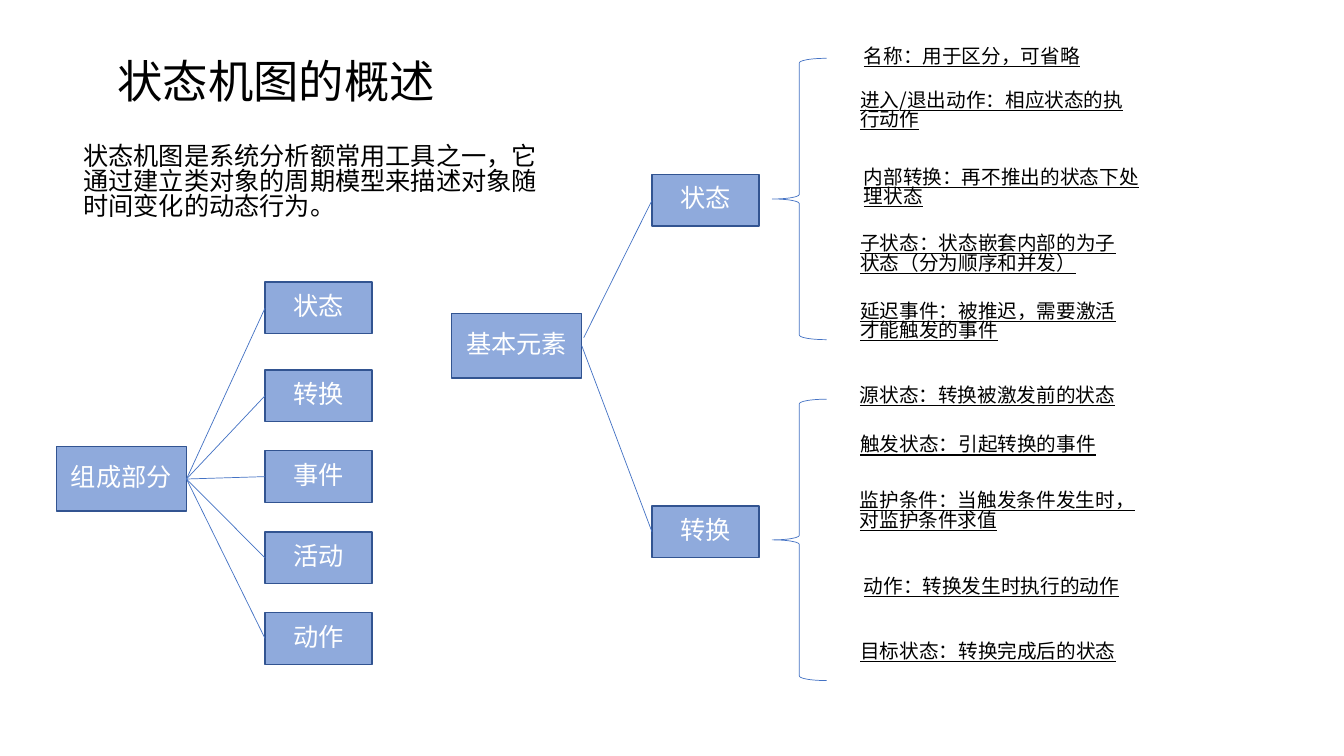
from lxml import etree
from pptx import Presentation
from pptx import util as u
from pptx.dml.color import RGBColor
from pptx.enum import shapes, text
from pptx.oxml import ns

# Content (positions in cm)
TITLE = "状态机图的概述"
INTRO = "状态机图是系统分析额常用工具之一，它通过建立类对象的周期模型来描述对象随时间变化的动态行为。"

# Each tree: root text, root left and top, child left, line ends at the root, (child text, top)
TREES = [
    ("组成部分", 1.42, 11.25, 6.68, [(4.7, 12.07)] * 5,
     [("状态", 7.11), ("转换", 9.32), ("事件", 11.36), ("活动", 13.41), ("动作", 15.44)]),
    ("基本元素", 11.38, 7.9, 16.43, [(14.71, 8.51), (14.66, 8.71)],
     [("状态", 4.4), ("转换", 12.75)]),
]

# Each group: brace top, (note text, left, top, number of lines)
GROUPS = [
    (1.47, [("名称：用于区分，可省略", 21.52, 1.07, 1),
            ("进入/退出动作：相应状态的执行动作", 21.43, 2.18, 2),
            ("内部转换：再不推出的状态下处理状态", 21.52, 4.12, 2),
            ("子状态：状态嵌套内部的为子状态（分为顺序和并发）", 21.43, 5.8, 2),
            ("延迟事件：被推迟，需要激活才能触发的事件", 21.43, 7.5, 2)]),
    (10.06, [("源状态：转换被激发前的状态", 21.42, 9.63, 1),
             ("触发状态：引起转换的事件", 21.43, 10.87, 1),
             ("监护条件：当触发条件发生时，对监护条件求值", 21.42, 12.27, 2),
             ("动作：转换发生时执行的动作", 21.52, 14.43, 1),
             ("目标状态：转换完成后的状态", 21.43, 16.08, 1)]),
]
NOTE_WIDTHS = [8.3, 7.57, 7.57, 7.4, 7.14]

# Style
FONT = "Noto Sans CJK SC"
BLACK = RGBColor(0x00, 0x00, 0x00)
WHITE = RGBColor(0xFF, 0xFF, 0xFF)
BOX_FILL = RGBColor(0x8F, 0xAA, 0xDC)
BOX_LINE = RGBColor(0x32, 0x54, 0x91)
LINE = RGBColor(0x44, 0x72, 0xC4)
ROOT_W, ROOT_H = 3.28, 1.63
CHILD_W, CHILD_H = 2.7, 1.3
BRACE_X, BRACE_W, BRACE_H = 19.46, 1.37, 7.09
SPACING = 0.83

prs = Presentation()
prs.slide_width, prs.slide_height = u.Cm(33.87), u.Cm(19.05)
s = prs.slides.add_slide(prs.slide_layouts[6])


def cm(*values):
    return [u.Cm(v) for v in values]


def write(sp, words, size, color=BLACK, align=text.PP_ALIGN.LEFT,
          anchor=text.MSO_ANCHOR.TOP, spacing=SPACING, underline=None):
    tf = sp.text_frame
    tf.word_wrap = True
    tf.vertical_anchor = anchor
    p = tf.paragraphs[0]
    p.text = words
    p.alignment = align
    p.line_spacing = spacing
    f = p.font
    f.name, f.size, f.underline = FONT, u.Pt(size), underline
    f.color.rgb = color
    # East Asian typeface
    latin = p._p.pPr.find(ns.qn("a:defRPr")).find(ns.qn("a:latin"))
    ea = etree.Element(ns.qn("a:ea"), typeface=FONT)
    latin.addnext(ea)


def add_text(words, box, size, **style):
    write(s.shapes.add_textbox(*cm(*box)), words, size, **style)


def add_box(words, *box):
    sp = s.shapes.add_shape(shapes.MSO_SHAPE.RECTANGLE, *cm(*box))
    sp.shadow.inherit = False
    sp.fill.solid()
    sp.fill.fore_color.rgb = BOX_FILL
    sp.line.color.rgb = BOX_LINE
    sp.line.width = u.Pt(1)
    write(sp, words, 18, WHITE, text.PP_ALIGN.CENTER, text.MSO_ANCHOR.MIDDLE)


def thin_line(sp):
    sp.line.color.rgb = LINE
    sp.line.width = u.Pt(0.5)


# Title and introduction
add_text(TITLE, (1.55, 1.47, 10.82, 1.35), 32.4, align=text.PP_ALIGN.CENTER,
         anchor=text.MSO_ANCHOR.BOTTOM, spacing=0.9 * SPACING)
add_text(INTRO, (1.85, 3.53, 12.32, 2.57), 18)

# Trees of boxes joined by lines
for root, root_x, root_y, child_x, ends, children in TREES:
    add_box(root, root_x, root_y, ROOT_W, ROOT_H)
    for (name, top), end in zip(children, ends):
        add_box(name, child_x, top, CHILD_W, CHILD_H)
        line = s.shapes.add_connector(shapes.MSO_CONNECTOR.STRAIGHT,
                                      *cm(child_x, top + CHILD_H / 2, *end))
        thin_line(line)
        etree.SubElement(line._element.spPr, ns.qn("a:effectLst"))

# Braces with their notes
for brace_y, notes in GROUPS:
    brace = s.shapes.add_shape(shapes.MSO_SHAPE.LEFT_BRACE,
                               *cm(BRACE_X, brace_y, BRACE_W, BRACE_H))
    brace.shadow.inherit = False
    brace.fill.background()
    thin_line(brace)
    for (words, left, top, lines), width in zip(notes, NOTE_WIDTHS):
        add_text(words, (left, top, width, 0.27 + 0.6 * lines), 14, underline=True)

prs.save("out.pptx")
